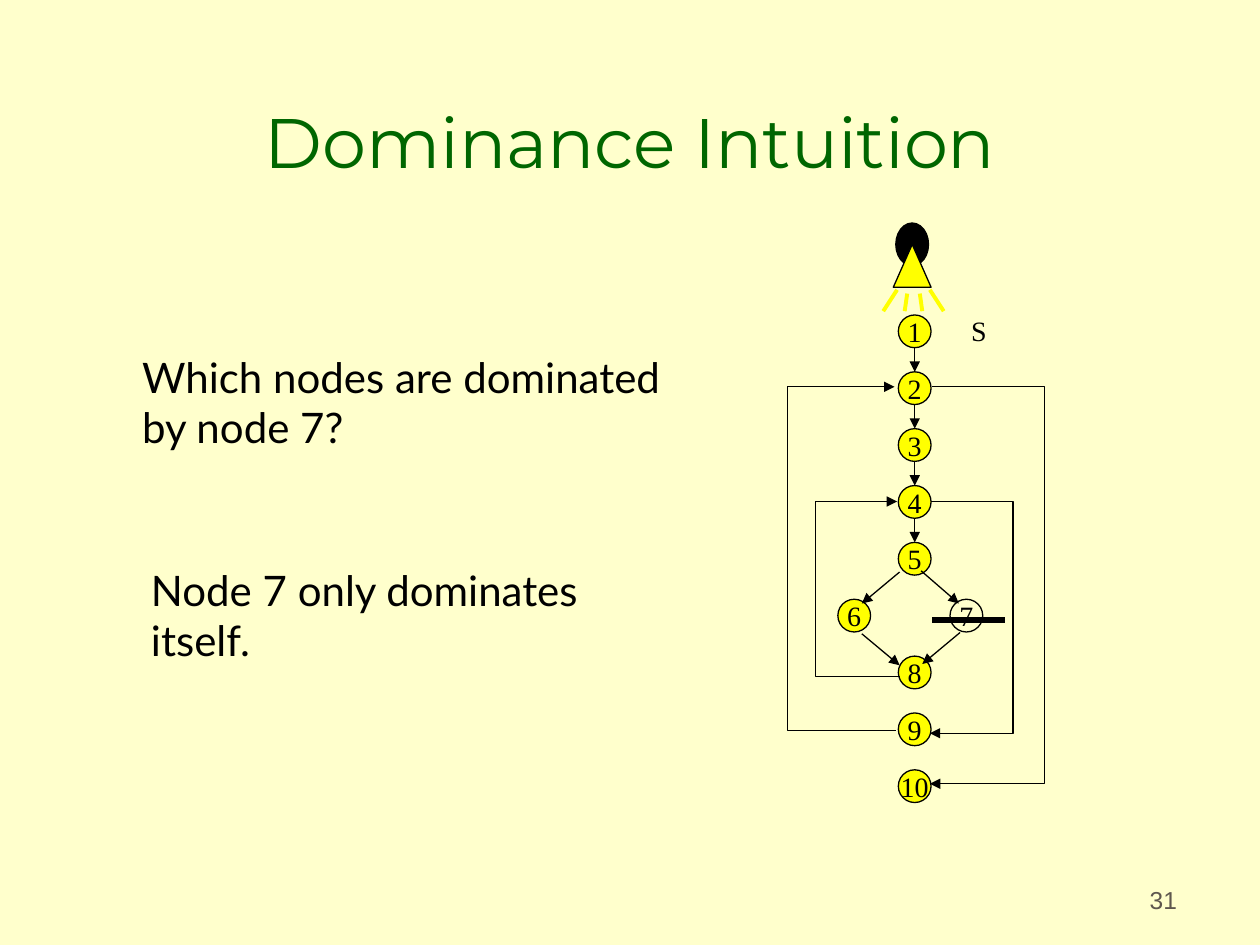
from lxml import etree
from pptx import Presentation
from pptx.dml.color import RGBColor
from pptx.enum.shapes import MSO_CONNECTOR, MSO_SHAPE
from pptx.enum.text import MSO_ANCHOR, MSO_AUTO_SIZE, PP_ALIGN
from pptx.oxml.ns import qn
from pptx.util import Inches, Pt

STRAIGHT = MSO_CONNECTOR.STRAIGHT
OVAL, TRIANGLE = MSO_SHAPE.OVAL, MSO_SHAPE.ISOSCELES_TRIANGLE
TOP, MIDDLE, BOTTOM = MSO_ANCHOR.TOP, MSO_ANCHOR.MIDDLE, MSO_ANCHOR.BOTTOM
LEFT, CENTER, RIGHT = PP_ALIGN.LEFT, PP_ALIGN.CENTER, PP_ALIGN.RIGHT
GROW = MSO_AUTO_SIZE.SHAPE_TO_FIT_TEXT

CREAM = RGBColor(0xFF, 0xFF, 0xCC)
GREEN = RGBColor(0x00, 0x66, 0x00)
YELLOW = RGBColor(0xFF, 0xFF, 0x00)
BLACK = RGBColor(0x00, 0x00, 0x00)
GREY = RGBColor(0x5E, 0x57, 0x4E)
SERIF = "Times New Roman"

# Flow graph measures, in inches from the corner of its box
NODE = 0.26
MAIN_X, LEFT_X, RIGHT_X = 1.01, 0.53, 1.42
FIRST_Y, LAST_Y, ROWS = 0.86, 4.47, 9
ROW_STEP = (LAST_Y - FIRST_Y) / (ROWS - 1)
COLUMNS = {6: LEFT_X, 7: RIGHT_X}

DIAGONALS = [  # 5-6, 5-7, 6-8, 7-8
    ((0.89, 2.77), (0.59, 3.02)),
    ((1.06, 2.76), (1.36, 3.02)),
    ((0.59, 3.26), (0.89, 3.51)),
    ((1.37, 3.25), (1.07, 3.5)),
]
LOOPS = [  # start x and y, lane x, end x and y
    (0.89, 3.6, 0.22, 0.87, 2.21),   # 8 to 4
    (1.14, 2.21, 1.79, 1.13, 4.05),  # 4 to 9
    (0.86, 4.03, 0, 0.85, 1.3),      # 9 to 2
    (1.15, 1.3, 2.04, 1.13, 4.45),   # 2 to 10
]


def style_text(frame, text, font, size, color, align=LEFT, anchor=TOP):
    frame.text = text
    frame.vertical_anchor = anchor
    for paragraph in frame.paragraphs:
        paragraph.alignment = align
        for run in paragraph.runs:
            run.font.name = font
            run.font.size = Pt(size)
            run.font.color.rgb = color


def add_label(slide, box, text, font, size):
    label = slide.shapes.add_textbox(*map(Inches, box)).text_frame
    style_text(label, text, font, size, BLACK)
    label.word_wrap = False
    label.auto_size = GROW


def add_outlined(shapes, preset, box, fill):
    shape = shapes.add_shape(preset, *map(Inches, box))
    shape.shadow.inherit = False
    if fill is None:
        shape.fill.background()
    else:
        shape.fill.solid()
        shape.fill.fore_color.rgb = fill
    shape.line.color.rgb = BLACK
    shape.line.width = Pt(0.75)
    return shape


def add_arrowhead(edge):
    outline = edge._element.spPr.find(qn("a:ln"))
    etree.SubElement(outline, qn("a:tailEnd"), type="triangle")


def add_line(shapes, origin, start, end, color=BLACK, width=0.75, arrow=False):
    x, y = origin
    line = shapes.add_connector(
        STRAIGHT, Inches(x + start[0]), Inches(y + start[1]),
        Inches(x + end[0]), Inches(y + end[1]))
    line.line.color.rgb = color
    line.line.width = Pt(width)
    if arrow:
        add_arrowhead(line)
    etree.SubElement(line._element.spPr, qn("a:effectLst"))
    return line


def add_loop(slide, origin, loop):
    x, y = origin
    start_x, start_y, lane_x, end_x, end_y = loop
    points = [(start_x, start_y), (lane_x, start_y), (lane_x, end_y), (end_x, end_y)]
    start, *rest = [(Inches(x + px), Inches(y + py)) for px, py in points]
    builder = slide.shapes.build_freeform(*start)
    builder.add_line_segments(rest, close=False)
    path = builder.convert_to_shape()
    path.shadow.inherit = False
    path.fill.background()
    path.line.color.rgb = BLACK
    path.line.width = Pt(0.75)
    add_arrowhead(path)


def add_nodes(slide, origin):
    x, y = origin
    nodes = {}
    for number in range(1, 11):
        row = number - 1 if number < 7 else number - 2  # 6 and 7 share a row
        center_x = COLUMNS.get(number, MAIN_X)
        center_y = FIRST_Y + row * ROW_STEP
        box = (x + center_x - NODE / 2, y + center_y - NODE / 2, NODE, NODE)
        node = add_outlined(slide.shapes, OVAL, box, None if number == 7 else YELLOW)
        style_text(node.text_frame, str(number), SERIF, 16, BLACK, CENTER, MIDDLE)
        node.text_frame.word_wrap = False
        nodes[number] = node
    return nodes


def add_lamp(slide, origin):
    x, y = origin
    lamp = slide.shapes.add_group_shape().shapes
    add_outlined(lamp, OVAL, (x + 0.86, y, 0.26, 0.34), BLACK)
    add_outlined(lamp, TRIANGLE, (x + 0.84, y + 0.17, 0.3, 0.34), YELLOW)
    # Rays, mirrored about the lamp's axis
    rays = slide.shapes.add_group_shape().shapes
    for side in (-1, 1):
        for top_dx, top_y, end_dx in ((0.13, 0.53, 0.24), (0.05, 0.56, 0.07)):
            add_line(rays, origin, (1 + side * top_dx, top_y),
                     (1 + side * end_dx, 0.7), YELLOW, 2.25)


def add_flow_graph(slide, origin):
    nodes = add_nodes(slide, origin)
    # Straight edges down the main column
    for number in range(1, 5):
        center_y = FIRST_Y + (number - 1) * ROW_STEP
        edge = add_line(slide.shapes, origin, (MAIN_X, center_y + NODE / 2),
                        (MAIN_X, center_y + ROW_STEP - NODE / 2), arrow=True)
        edge.end_connect(nodes[number + 1], 0)
    # Branch and join around nodes 6 and 7
    for start, end in DIAGONALS:
        add_line(slide.shapes, origin, start, end, arrow=True)
    for loop in LOOPS:
        add_loop(slide, origin, loop)
    # Start label, lamp and the bar blocking node 7
    x, y = origin
    add_label(slide, (x + 1.36, y + 0.67, 0.32, 0.37), "S", SERIF, 16)
    add_lamp(slide, origin)
    add_line(slide.shapes, origin, (1.15, 3.15), (1.73, 3.15), width=3)


def add_title(slide, box):
    title = slide.shapes.title
    title.left, title.top, title.width, title.height = map(Inches, box)
    style_text(title.text_frame, "Dominance Intuition", "Montserrat", 40, GREEN,
               CENTER, BOTTOM)


def add_page_number(slide, box):
    number = slide.shapes.add_textbox(*map(Inches, box)).text_frame
    number.word_wrap = True
    style_text(number, "31", "Arial", 14, GREY, RIGHT, BOTTOM)


def main():
    deck = Presentation()
    deck.slide_width, deck.slide_height = Inches(10), Inches(7.5)
    slide = deck.slides.add_slide(deck.slide_layouts[5])
    slide.background.fill.solid()
    slide.background.fill.fore_color.rgb = CREAM

    add_title(slide, (0.75, 0.25, 8.5, 1.25))
    add_page_number(slide, (7.36, 6.81, 2.08, 0.5))
    add_flow_graph(slide, (6.25, 1.77))
    # Question and answer
    add_label(slide, (1.03, 2.74, 4.61, 0.9),
              "Which nodes are dominated\nby node 7?", "Lato", 24)
    add_label(slide, (1.1, 4.43, 3.83, 0.9),
              "Node 7 only dominates\nitself.", "Lato", 24)
    deck.save("out.pptx")


if __name__ == "__main__":
    main()
